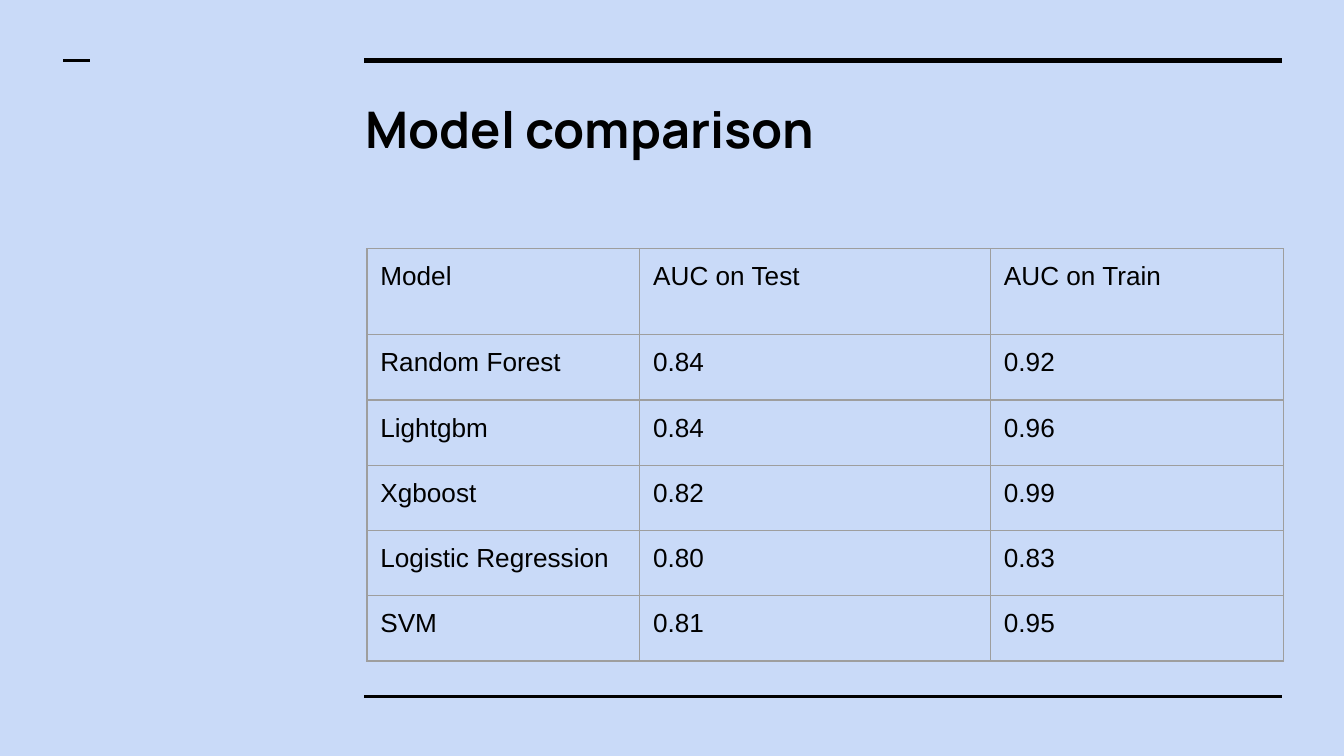
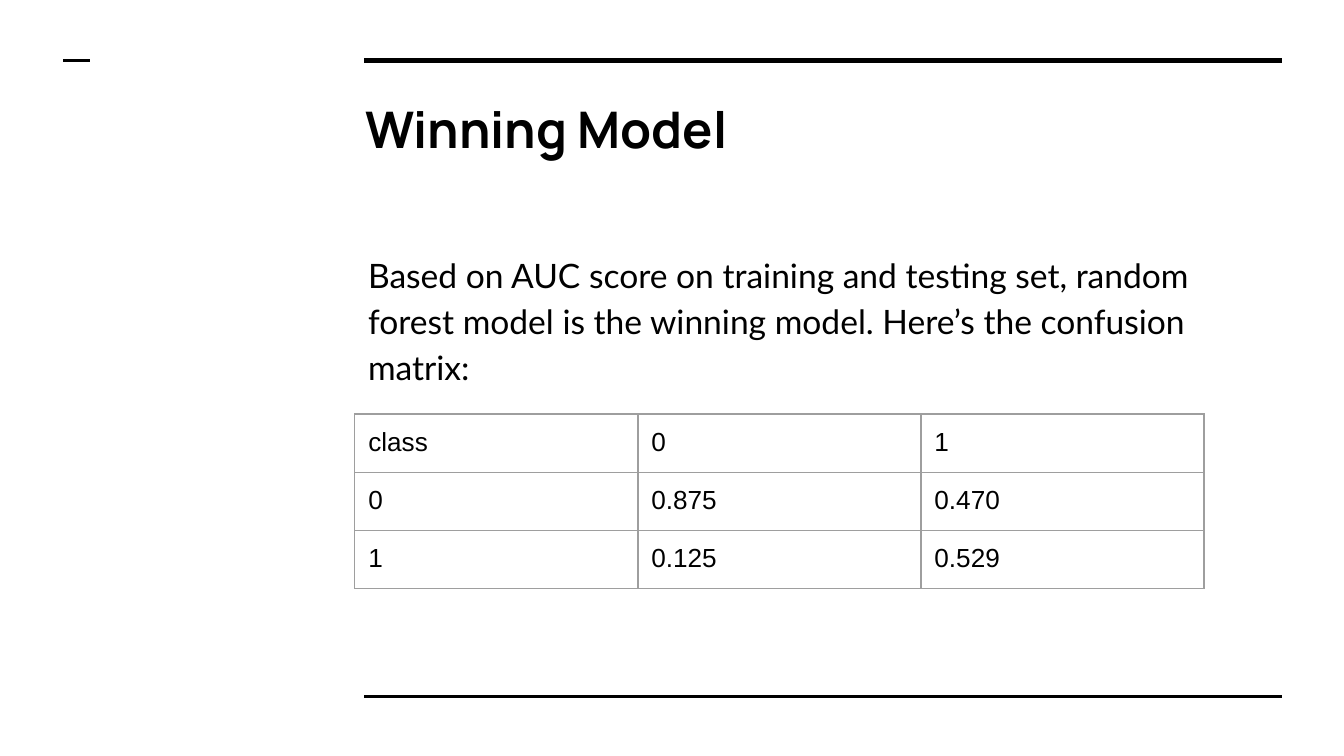
from dataclasses import dataclass

from lxml import etree
from pptx import Presentation
from pptx import util as u
from pptx.dml.color import RGBColor
from pptx.enum import shapes, text
from pptx.oxml import ns

# Shared style
BLACK = RGBColor(0x00, 0x00, 0x00)
WHITE = RGBColor(0xFF, 0xFF, 0xFF)
PALE_BLUE = RGBColor(0xC9, 0xDA, 0xF8)
GRID_GREY = RGBColor(0x9E, 0x9E, 0x9E)
TITLE_FONT, BODY_FONT, TABLE_FONT = "Manrope", "Lato", "Arial"
INSET = u.Inches(0.1)
SLIDE_WIDTH = 10


@dataclass(frozen=True)
class Rule:
    left: float
    right: float
    y: float
    weight: float


@dataclass(frozen=True)
class Box:
    left: float
    top: float
    width: float
    height: float


@dataclass(frozen=True)
class Grid:
    left: float
    top: float
    cols: list[float]
    row_heights: list[float]
    rows: list[list[str]]


RULES = [
    Rule(2.71, 9.54, 0.45, 3),
    Rule(2.71, 9.54, 5.18, 1.5),
    Rule(0.47, 0.67, 0.45, 1.5),
]
TITLE_BOX = Box(2.62, 0.63, 6.91, 0.69)
BODY_BOX = Box(2.64, 1.75, 6.91, 3.28)


def add_run(p, words: str, font: str, size: float, bold: bool = False) -> None:
    r = p.add_run()
    r.text = words
    r.font.name = font
    r.font.size = u.Pt(size)
    r.font.bold = bold
    r.font.color.rgb = BLACK


def add_rule(s, rule: Rule) -> None:
    y = u.Inches(rule.y)
    line = s.shapes.add_connector(
        shapes.MSO_CONNECTOR.STRAIGHT, u.Inches(rule.left), y, u.Inches(rule.right), y)
    line.line.color.rgb = BLACK
    line.line.width = u.Pt(rule.weight)
    etree.SubElement(line._element.spPr, ns.qn("a:effectLst"))


def add_text(s, box: Box, words: str, font: str, size: float, bold: bool = False):
    sp = s.shapes.add_textbox(
        u.Inches(box.left), u.Inches(box.top), u.Inches(box.width), u.Inches(box.height))
    tf = sp.text_frame
    tf.word_wrap = True
    tf.vertical_anchor = text.MSO_ANCHOR.TOP
    tf.margin_left = tf.margin_right = tf.margin_top = tf.margin_bottom = INSET
    p = tf.paragraphs[0]
    add_run(p, words, font, size, bold)
    return p


def add_borders(cell) -> None:
    tc_pr = cell._tc.get_or_add_tcPr()
    for side in ("lnL", "lnR", "lnT", "lnB"):
        ln = etree.SubElement(tc_pr, ns.qn(f"a:{side}"), w=str(u.Pt(0.75)))
        fill = etree.SubElement(ln, ns.qn("a:solidFill"))
        etree.SubElement(fill, ns.qn("a:srgbClr"), val=str(GRID_GREY))


def add_grid(s, grid: Grid) -> None:
    table = s.shapes.add_table(
        len(grid.rows), len(grid.cols), u.Inches(grid.left), u.Inches(grid.top),
        u.Inches(sum(grid.cols)), u.Inches(sum(grid.row_heights))).table
    table.first_row = table.horz_banding = False
    for column, width in zip(table.columns, grid.cols):
        column.width = u.Inches(width)
    for row, height, values in zip(table.rows, grid.row_heights, grid.rows):
        row.height = u.Inches(height)
        for cell, value in zip(row.cells, values):
            cell.margin_left = cell.margin_right = INSET
            cell.margin_top = cell.margin_bottom = INSET
            add_borders(cell)
            cell.fill.background()
            add_run(cell.text_frame.paragraphs[0], value, TABLE_FONT, 14)


def add_slide(prs, background: RGBColor, title: str):
    s = prs.slides.add_slide(prs.slide_layouts[6])
    s.background.fill.solid()
    s.background.fill.fore_color.rgb = background
    for rule in RULES:
        add_rule(s, rule)
    add_text(s, TITLE_BOX, title, TITLE_FONT, 27, bold=True)
    return s


def main() -> None:
    prs = Presentation()
    # 16:9 page
    prs.slide_width = u.Inches(SLIDE_WIDTH)
    prs.slide_height = u.Inches(SLIDE_WIDTH * 9 / 16)

    # Model comparison
    s = add_slide(prs, PALE_BLUE, "Model comparison")
    add_grid(s, Grid(2.73, 1.85, [2.03, 2.61, 2.18], [0.64] + [2.43 / 5] * 5, [
        ["Model", "AUC on Test", "AUC on Train"],
        ["Random Forest", "0.84", "0.92"],
        ["Lightgbm", "0.84", "0.96"],
        ["Xgboost", "0.82", "0.99"],
        ["Logistic Regression", "0.80", "0.83"],
        ["SVM", "0.81", "0.95"],
    ]))

    # Winning model and its confusion matrix
    s = add_slide(prs, WHITE, "Winning Model")
    p = add_text(
        s, BODY_BOX,
        "Based on AUC score on training and testing set, random forest model is "
        "the winning model. Here’s the confusion matrix:", BODY_FONT, 18)
    p.line_spacing = 1.15
    p.space_after = u.Pt(12)
    add_grid(s, Grid(2.64, 3.08, [6.32 / 3] * 3, [0.43] * 3, [
        ["class", "0", "1"],
        ["0", "0.875", "0.470"],
        ["1", "0.125", "0.529"],
    ]))

    prs.save("out.pptx")


if __name__ == "__main__":
    main()
